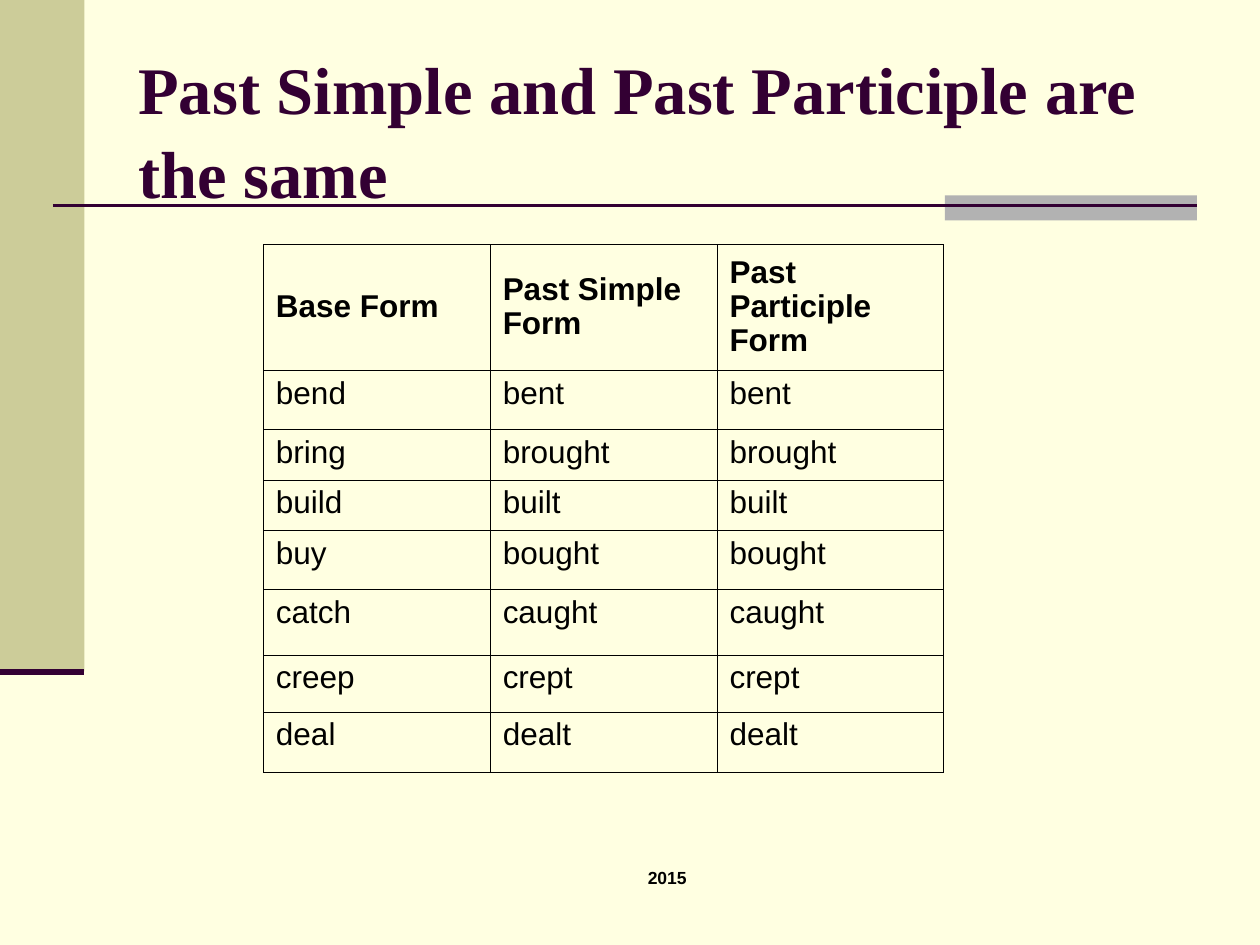
from pptx import Presentation
from pptx.dml.color import RGBColor
from pptx.enum.shapes import MSO_CONNECTOR, MSO_SHAPE
from pptx.enum.text import MSO_ANCHOR, PP_ALIGN
from pptx.oxml import parse_xml
from pptx.oxml.ns import nsdecls, qn
from pptx.util import Inches, Pt
from lxml.etree import SubElement

CREAM = RGBColor(0xFF, 0xFF, 0xE1)
KHAKI = RGBColor(0xCC, 0xCC, 0x99)
GRAY = RGBColor(0xB2, 0xB2, 0xB2)
PLUM = RGBColor(0x33, 0x00, 0x33)
BLACK = RGBColor(0x00, 0x00, 0x00)

TITLE_FONT = {"name": "Times New Roman", "size": Pt(38), "bold": True}
FOOTER_FONT = {"name": "Arial", "size": Pt(10), "bold": True}
HEADER_FONT = {"name": "Arial", "size": Pt(18), "bold": True}
VERB_FONT = {**HEADER_FONT, "bold": False}

HEADERS = ["Base Form", "Past Simple Form", "Past Participle Form"]
VERBS = {
    "bend": "bent",
    "bring": "brought",
    "build": "built",
    "buy": "bought",
    "catch": "caught",
    "creep": "crept",
    "deal": "dealt",
}
COLUMN_WIDTH = 1.8
ROW_HEIGHTS = [1, 0.47, 0.4, 0.4, 0.47, 0.52, 0.45, 0.48]
BORDER_WIDTH = Pt(0.34)


def write_text(frame, text, font, color, **paragraph_format):
    para = frame.paragraphs[0]
    for name, value in paragraph_format.items():
        setattr(para, name, value)
    span = para.add_run()
    span.text = text
    for name, value in font.items():
        setattr(span.font, name, value)
    span.font.color.rgb = color


def add_text(page, bounds, text, font, color, **paragraph_format):
    box = page.shapes.add_textbox(*map(Inches, bounds))
    box.text_frame.word_wrap = True
    write_text(box.text_frame, text, font, color, **paragraph_format)


def add_bar(page, bounds, color):
    bar = page.shapes.add_shape(MSO_SHAPE.RECTANGLE, *map(Inches, bounds))
    bar.shadow.inherit = False
    bar.fill.solid()
    bar.fill.fore_color.rgb = color
    bar.line.fill.background()


def add_rule(page, left, right, y, width):
    """Draw a horizontal line."""
    rule = page.shapes.add_connector(
        MSO_CONNECTOR.STRAIGHT, Inches(left), Inches(y), Inches(right), Inches(y)
    )
    rule.line.color.rgb = PLUM
    rule.line.width = Pt(width)
    SubElement(rule._element.spPr, qn("a:effectLst"))


def set_borders(cell):
    properties = cell._tc.get_or_add_tcPr()
    for position, side in enumerate(("lnL", "lnR", "lnT", "lnB")):
        border = parse_xml(
            f'<a:{side} {nsdecls("a")} w="{BORDER_WIDTH}"><a:solidFill>'
            f'<a:srgbClr val="{BLACK}"/></a:solidFill></a:{side}>'
        )
        properties.insert(position, border)


def add_verb_table(page):
    rows = [HEADERS] + [[base, past, past] for base, past in VERBS.items()]
    bounds = (2.09, 1.94, COLUMN_WIDTH * len(HEADERS), sum(ROW_HEIGHTS))
    table = page.shapes.add_table(
        len(rows), len(HEADERS), *map(Inches, bounds)
    ).table
    for column in table.columns:
        column.width = Inches(COLUMN_WIDTH)
    for index, (words, height) in enumerate(zip(rows, ROW_HEIGHTS)):
        table.rows[index].height = Inches(height)
        is_header = index == 0
        for cell, word in zip(table.rows[index].cells, words):
            cell.fill.background()
            cell.vertical_anchor = MSO_ANCHOR.MIDDLE if is_header else MSO_ANCHOR.TOP
            font = HEADER_FONT if is_header else VERB_FONT
            write_text(cell.text_frame, word, font, BLACK, line_spacing=0.97)
            set_borders(cell)


def main():
    deck = Presentation()
    deck.slide_width, deck.slide_height = Inches(10), Inches(7.5)
    page = deck.slides.add_slide(deck.slide_layouts[6])
    page.background.fill.solid()
    page.background.fill.fore_color.rgb = CREAM

    add_bar(page, (0, 0, 0.67, 5.33), KHAKI)
    add_bar(page, (7.5, 1.55, 2, 0.2), GRAY)
    add_rule(page, 0.42, 9.5, 1.63, 1.5)
    add_rule(page, 0, 0.67, 5.33, 3.5)
    add_text(page, (3.67, 6.83, 3.25, 0.5), "2015", FOOTER_FONT, BLACK,
             alignment=PP_ALIGN.CENTER)
    add_text(page, (1, 0.3, 8.5, 1.25), "Past Simple and Past Participle are the same",
             TITLE_FONT, PLUM, line_spacing=1.05)
    add_verb_table(page)
    deck.save("out.pptx")


if __name__ == "__main__":
    main()
